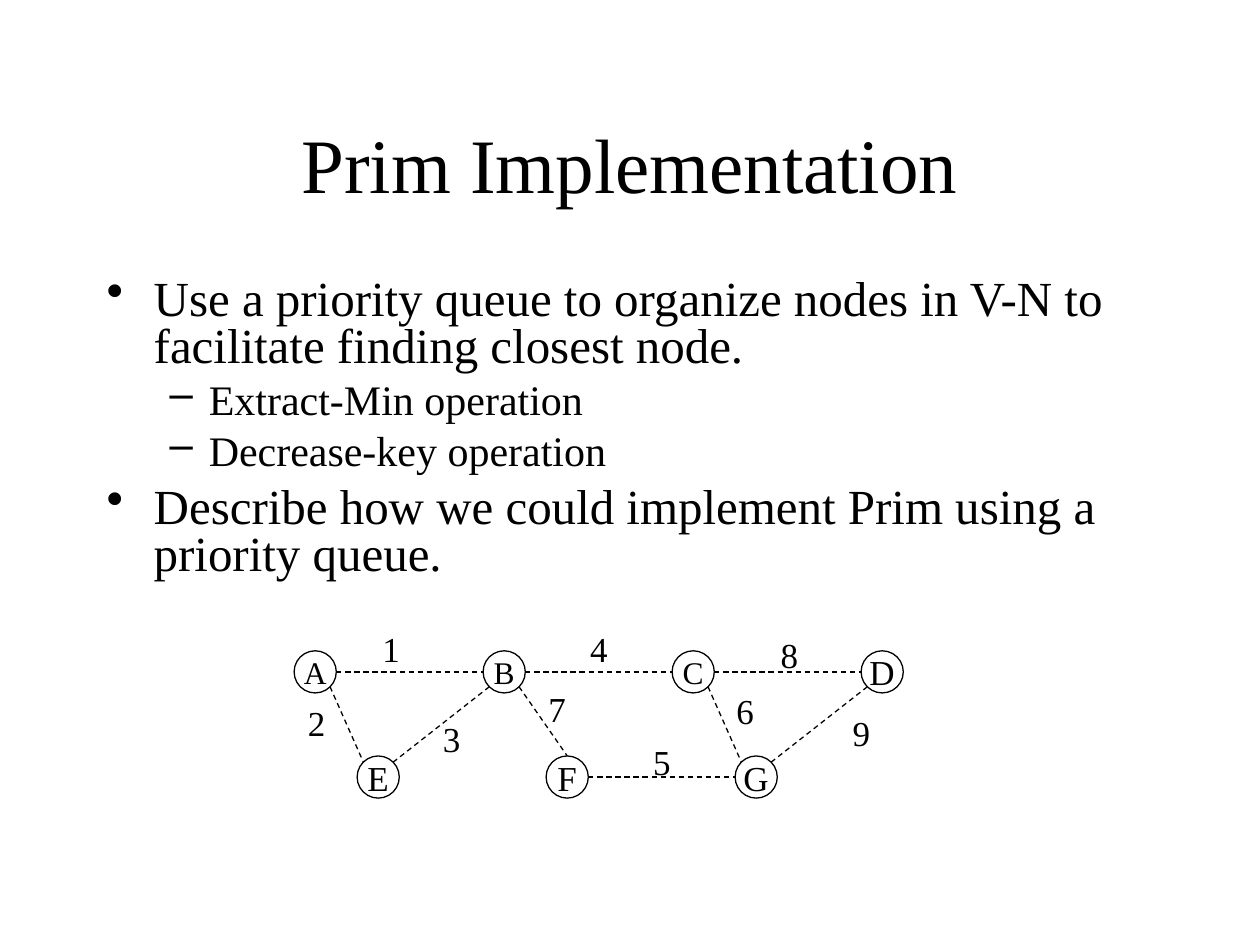
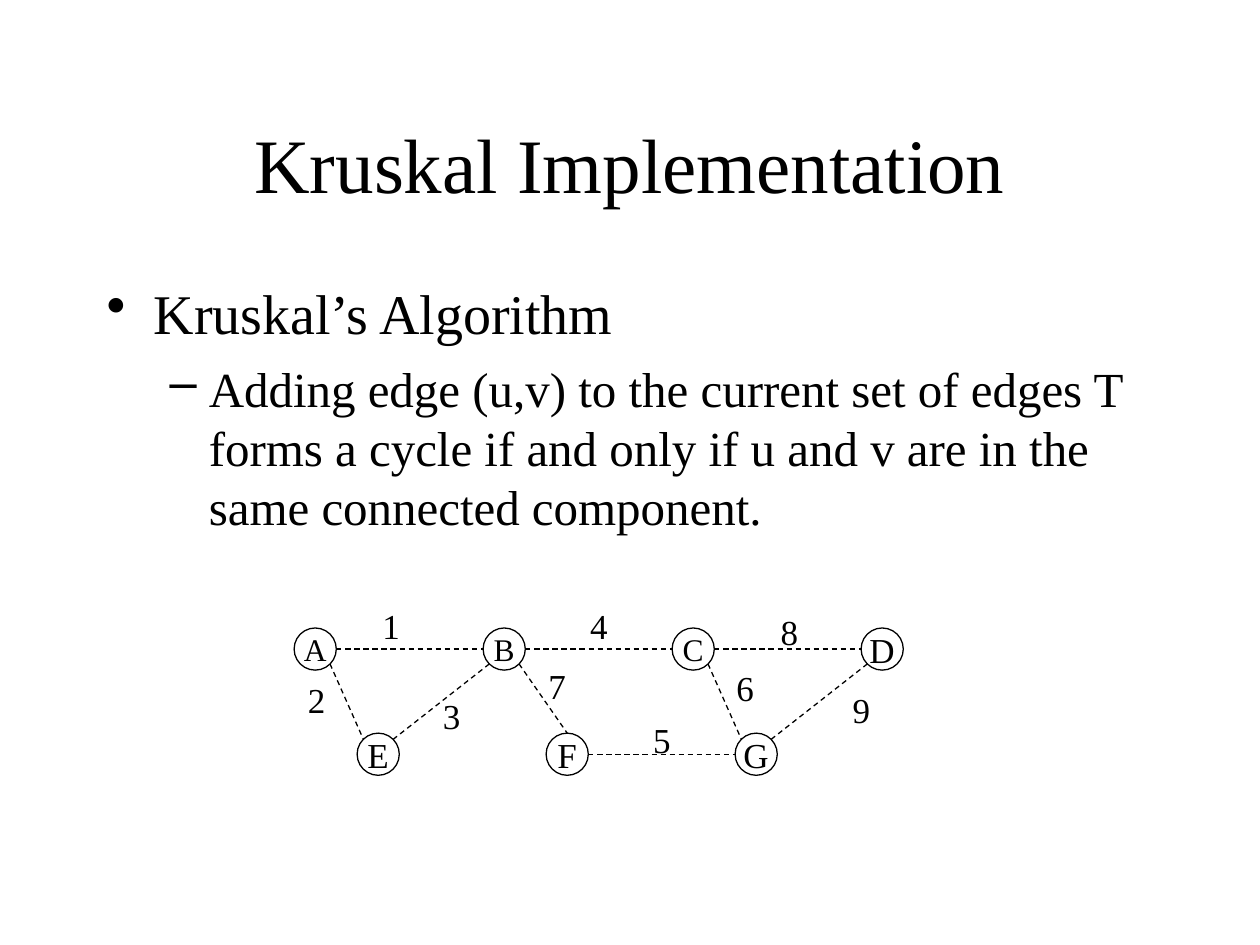
from lxml import etree
from pptx import Presentation
from pptx.dml.color import RGBColor
from pptx.enum import dml, shapes, text
from pptx.oxml import ns
from pptx.util import Cm, Pt

COLOURS = {"ink": "000000", "paper": "FFFFFF"}
FONT = "Times New Roman"

MARGIN, CONTENT_WIDTH = 1.9, 21.6
TITLE_BOX = (MARGIN, 1.7, CONTENT_WIDTH, 3.17)
BODY_TOP = 5.5
GRAPH_LEFT = 5.93

# Bullet sign, left indent and hanging indent for each level
BULLETS = [("•", 0.95, 0.95), ("–", 2.06, 0.79)]

NODE = 0.85
NODE_PITCH, ROW_DROP, ROW_SHIFT = 3.81, 2.12, 1.27
NODE_ROWS = ["ABCD", "EFG"]
SMALL_NODES = "ABC"

# Points on a node's rim, as fractions of its box
RIM = {
    "top": (0.5, 0), "left": (0, 0.5), "right": (1, 0.5),
    "lower left": (0.15, 0.85), "lower right": (0.85, 0.85),
    "upper left": (0.15, 0.15), "upper right": (0.85, 0.15),
}
# Start node, its rim point, end node, its rim point, weight, weight's place
EDGES = [
    ("A", "right", "B", "left", 1, (1.52, -0.6)),
    ("A", "lower right", "E", "upper left", 2, (0.02, 0.9)),
    ("E", "upper right", "B", "lower left", 3, (2.74, 1.22)),
    ("B", "right", "C", "left", 4, (5.71, -0.6)),
    ("F", "right", "G", "left", 5, (6.98, 1.69)),
    ("C", "lower right", "G", "upper left", 6, (8.66, 0.66)),
    ("B", "lower right", "F", "top", 7, (4.87, 0.62)),
    ("C", "right", "D", "left", 8, (9.55, -0.48)),
    ("D", "lower left", "G", "upper right", 9, (11, 1.1)),
]
WEIGHT_SIZE = (0.86, 1.11)


def colour(name):
    return RGBColor.from_string(COLOURS[name])


def set_all(target, **values):
    for name, value in values.items():
        setattr(target, name, value)


def write(para, words, size, align):
    para.alignment = align
    span = para.add_run()
    span.text = words
    set_all(span.font, name=FONT, size=Pt(size))
    span.font.color.rgb = colour("ink")


def add_bullet(para, level):
    sign, left, hanging = BULLETS[level]
    para.level = level
    props = para._p.get_or_add_pPr()
    props.set("marL", str(Cm(left)))
    props.set("indent", str(-Cm(hanging)))
    etree.SubElement(props, ns.qn("a:buChar")).set("char", sign)


def draw_title(page, words, box):
    frame = page.shapes.add_textbox(*map(Cm, box)).text_frame
    set_all(frame, word_wrap=True, vertical_anchor=text.MSO_ANCHOR.MIDDLE)
    write(frame.paragraphs[0], words, 44, text.PP_ALIGN.CENTER)


def draw_body(page, items, sizes, spaces, line_spacing, box):
    """Bulleted text; sizes and spaces before are given for each level."""
    frame = page.shapes.add_textbox(*map(Cm, box)).text_frame
    frame.word_wrap = True
    for index, (level, words) in enumerate(items):
        para = frame.add_paragraph() if index else frame.paragraphs[0]
        add_bullet(para, level)
        para.line_spacing = line_spacing
        para.space_before = Pt(spaces[level] if index else 0)
        write(para, words, sizes[level], text.PP_ALIGN.LEFT)


def draw_node(parts, name, left, top):
    node = parts.add_shape(shapes.MSO_SHAPE.OVAL, *map(Cm, (left, top, NODE, NODE)))
    node.shadow.inherit = False
    node.fill.background()
    node.line.color.rgb = colour("ink")
    node.line.width = Pt(0.75)
    frame = node.text_frame
    set_all(frame, word_wrap=False, vertical_anchor=text.MSO_ANCHOR.MIDDLE)
    size = 18 if name in SMALL_NODES else 20
    write(frame.paragraphs[0], name, size, text.PP_ALIGN.CENTER)


def draw_edge(parts, start, end):
    edge = parts.add_connector(shapes.MSO_CONNECTOR.STRAIGHT, *map(Cm, start + end))
    edge.line.color.rgb = colour("ink")
    set_all(edge.line, width=Pt(0.75), dash_style=dml.MSO_LINE.DASH)
    etree.SubElement(edge._element.spPr, ns.qn("a:effectLst"))


def draw_weight(parts, weight, left, top):
    frame = parts.add_textbox(*map(Cm, (left, top) + WEIGHT_SIZE)).text_frame
    set_all(frame, word_wrap=False, auto_size=text.MSO_AUTO_SIZE.SHAPE_TO_FIT_TEXT)
    write(frame.paragraphs[0], str(weight), 20, text.PP_ALIGN.RIGHT)


def draw_graph(page, left, top):
    parts = page.shapes.add_group_shape().shapes
    corners = {
        name: (left + column * NODE_PITCH + row * ROW_SHIFT, top + row * ROW_DROP)
        for row, names in enumerate(NODE_ROWS)
        for column, name in enumerate(names)
    }

    def rim_point(name, side):
        return tuple(corner + NODE * part for corner, part in zip(corners[name], RIM[side]))

    for name, corner in corners.items():
        draw_node(parts, name, *corner)
    for start, start_side, end, end_side, weight, (across, down) in EDGES:
        draw_edge(parts, rim_point(start, start_side), rim_point(end, end_side))
        draw_weight(parts, weight, left + across, top + down)


def add_algorithm_page(deck, title, items, sizes, spaces, line_spacing, body_height, graph_top):
    page = deck.slides.add_slide(deck.slide_layouts[6])
    page.background.fill.solid()
    page.background.fill.fore_color.rgb = colour("paper")
    draw_title(page, title, TITLE_BOX)
    body_box = (MARGIN, BODY_TOP, CONTENT_WIDTH, body_height)
    draw_body(page, items, sizes, spaces, line_spacing, body_box)
    draw_graph(page, GRAPH_LEFT, graph_top)


def main():
    deck = Presentation()
    set_all(deck, slide_width=Cm(25.4), slide_height=Cm(19.05))
    add_algorithm_page(
        deck, "Prim Implementation",
        [(0, "Use a priority queue to organize nodes in V-N to facilitate finding closest node."),
         (1, "Extract-Min operation"),
         (1, "Decrease-key operation"),
         (0, "Describe how we could implement Prim using a priority queue.")],
        sizes=(28, 24), spaces=(7, 6), line_spacing=0.8, body_height=7, graph_top=13.12)
    add_algorithm_page(
        deck, "Kruskal Implementation",
        [(0, "Kruskal’s Algorithm"),
         (1, "Adding edge (u,v) to the current set of edges T forms a cycle "
             "if and only if u and v are in the same connected component.")],
        sizes=(32, 28), spaces=(8, 7), line_spacing=1.0, body_height=5.93, graph_top=12.66)
    deck.save("out.pptx")


if __name__ == "__main__":
    main()
